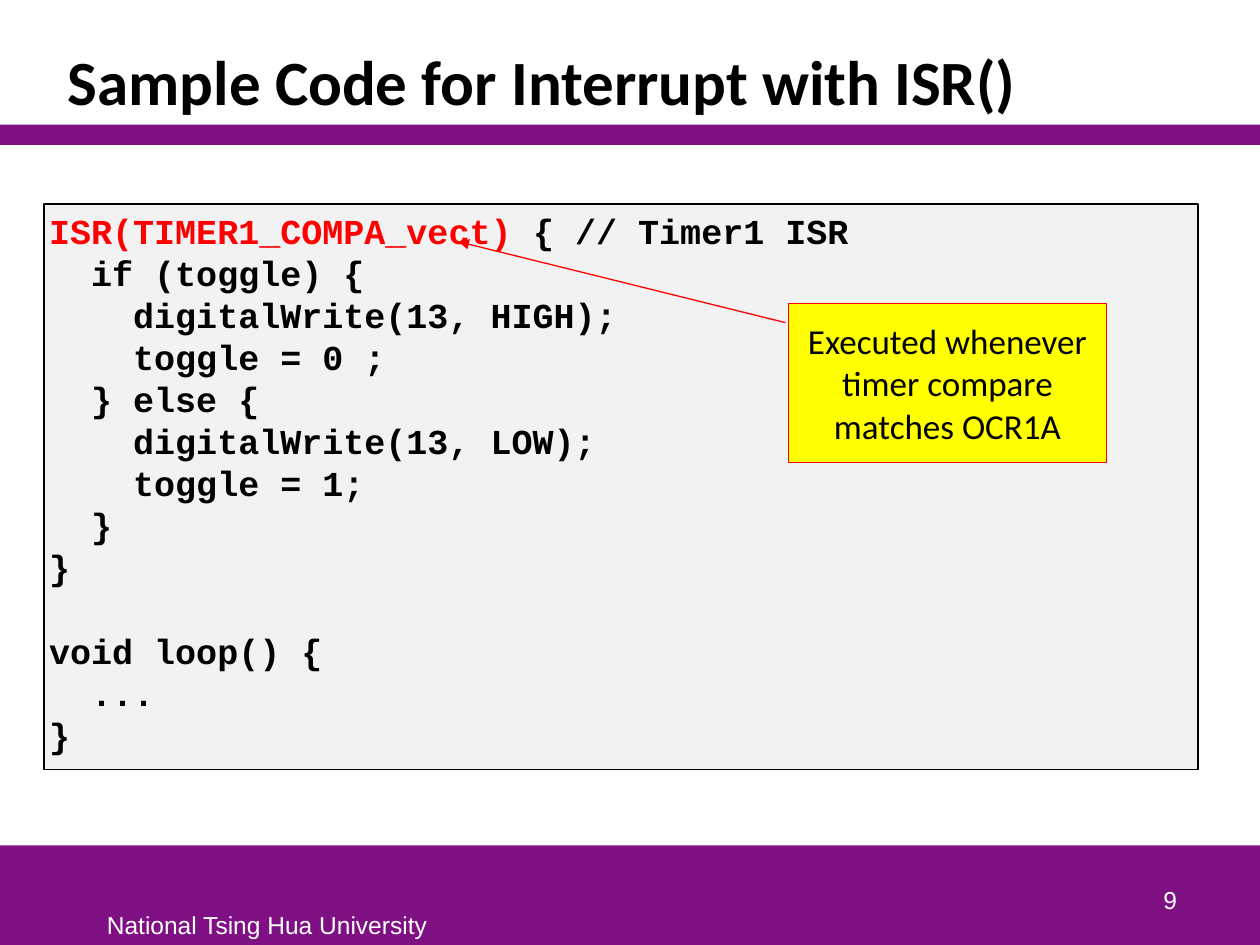
import pptx
import pptx.dml.color
import pptx.enum.shapes
import pptx.enum.text
import pptx.oxml.ns
import lxml.etree
from pptx.util import Inches

SHAPE = pptx.enum.shapes.MSO_SHAPE
ALIGN = pptx.enum.text.PP_ALIGN
ANCHOR = pptx.enum.text.MSO_ANCHOR

PURPLE, WHITE, BLACK, RED = "7F1084", "FFFFFF", "000000", "FF0000"
CODE_FILL, CALLOUT_FILL = "F2F2F2", "FFFF00"

ISR_SIGNATURE = "ISR(TIMER1_COMPA_vect)"
CODE = ISR_SIGNATURE + """ { // Timer1 ISR
  if (toggle) {
    digitalWrite(13, HIGH);
    toggle = 0 ;
  } else {
    digitalWrite(13, LOW);
    toggle = 1;
  }
}

void loop() {
  ...
}"""


def color(hex_code):
    return pptx.dml.color.RGBColor.from_string(hex_code)


class LectureSlide:
    """Holds the lecture style and the slide being built."""

    heading_font, footer_font, code_font = "Calibri", "Arial", "Courier New"
    body_size, footer_size, title_size = 20, 14, 36

    def __init__(self, deck):
        self.slide = deck.slides.add_slide(deck.slide_layouts[6])

    def style(self, paragraph, font, size, hex_code, bold=False, align=ALIGN.LEFT):
        paragraph.alignment = align
        paragraph.font.name = font
        paragraph.font.size = pptx.util.Pt(size)
        paragraph.font.bold = bold
        paragraph.font.color.rgb = color(hex_code)

    def box(self, kind, left, top, width, height, fill, line=None):
        shape = self.slide.shapes.add_shape(
            kind, Inches(left), Inches(top), Inches(width), Inches(height))
        shape.shadow.inherit = False
        shape.fill.solid()
        shape.fill.fore_color.rgb = color(fill)
        if line:
            shape.line.color.rgb = color(line)
            shape.line.width = pptx.util.Pt(0.75)
        else:
            shape.line.fill.background()
        return shape

    def band(self, top, height):
        self.box(SHAPE.RECTANGLE, 0, top, 10, height, PURPLE)

    def label(self, text, left, top, width, height, *font_style,
              anchor=ANCHOR.BOTTOM, wrap=True, **options):
        frame = self.slide.shapes.add_textbox(
            Inches(left), Inches(top), Inches(width), Inches(height)).text_frame
        frame.word_wrap = wrap
        frame.vertical_anchor = anchor
        frame.text = text
        self.style(frame.paragraphs[0], *font_style, **options)
        return frame.paragraphs[0]

    def title(self, text):
        heading = self.label(text, 0.44, 0.25, 9.12, 0.74, self.heading_font,
                             self.title_size, BLACK, bold=True)
        heading.line_spacing = 0.85

    def footer(self, university, number):
        self.label(university, 0.75, 7.17, 2.76, 0.33, self.footer_font,
                   self.footer_size, WHITE, anchor=ANCHOR.TOP, wrap=False)
        self.label(number, 7.36, 6.81, 2.08, 0.5, self.footer_font,
                   self.footer_size, WHITE, align=ALIGN.RIGHT)

    def code_listing(self, code, highlight, left, top, width, height):
        """Shows code line by line, with the opening words in red."""
        panel = self.box(SHAPE.RECTANGLE, left, top, width, height, CODE_FILL, BLACK)
        frame = panel.text_frame
        frame.vertical_anchor = ANCHOR.TOP
        frame.margin_left = frame.margin_right = Inches(0.04)
        frame.margin_top = frame.margin_bottom = Inches(0.04)
        frame.text = code
        for paragraph in frame.paragraphs:
            self.style(paragraph, self.code_font, self.body_size, BLACK, bold=True)
        first_line = frame.paragraphs[0]
        signature = first_line.runs[0]
        rest = signature.text.removeprefix(highlight)
        signature.text = highlight
        signature.font.color.rgb = color(RED)
        first_line.add_run().text = rest

    def callout(self, text, left, top, width, height, pointer):
        """Draws a note whose pointer is (y, x) start and (y, x) tip, as shares of its size."""
        note = self.box(SHAPE.LINE_CALLOUT_1, left, top, width, height,
                        CALLOUT_FILL, RED)
        for index, share in enumerate(pointer):
            note.adjustments[index] = share
        outline = note.line._get_or_add_ln()
        lxml.etree.SubElement(
            outline, pptx.oxml.ns.qn("a:tailEnd"), type="triangle")
        frame = note.text_frame
        frame.word_wrap = True
        frame.vertical_anchor = ANCHOR.MIDDLE
        frame.text = text
        self.style(frame.paragraphs[0], self.heading_font, self.body_size, BLACK,
                   align=ALIGN.CENTER)


def main():
    deck = pptx.Presentation()
    deck.slide_width, deck.slide_height = Inches(10), Inches(7.5)
    lecture = LectureSlide(deck)
    lecture.band(6.71, 0.79)
    lecture.band(0.99, 0.16)
    lecture.footer("National Tsing Hua University", "9")
    lecture.title("Sample Code for Interrupt with ISR()")
    lecture.code_listing(CODE, ISR_SIGNATURE, 0.35, 1.62, 9.16, 4.49)
    lecture.callout("Executed whenever timer compare matches OCR1A",
                    6.26, 2.41, 2.52, 1.26, (0.12, -0.01, -0.39, -1.04))
    deck.save("out.pptx")


if __name__ == "__main__":
    main()
